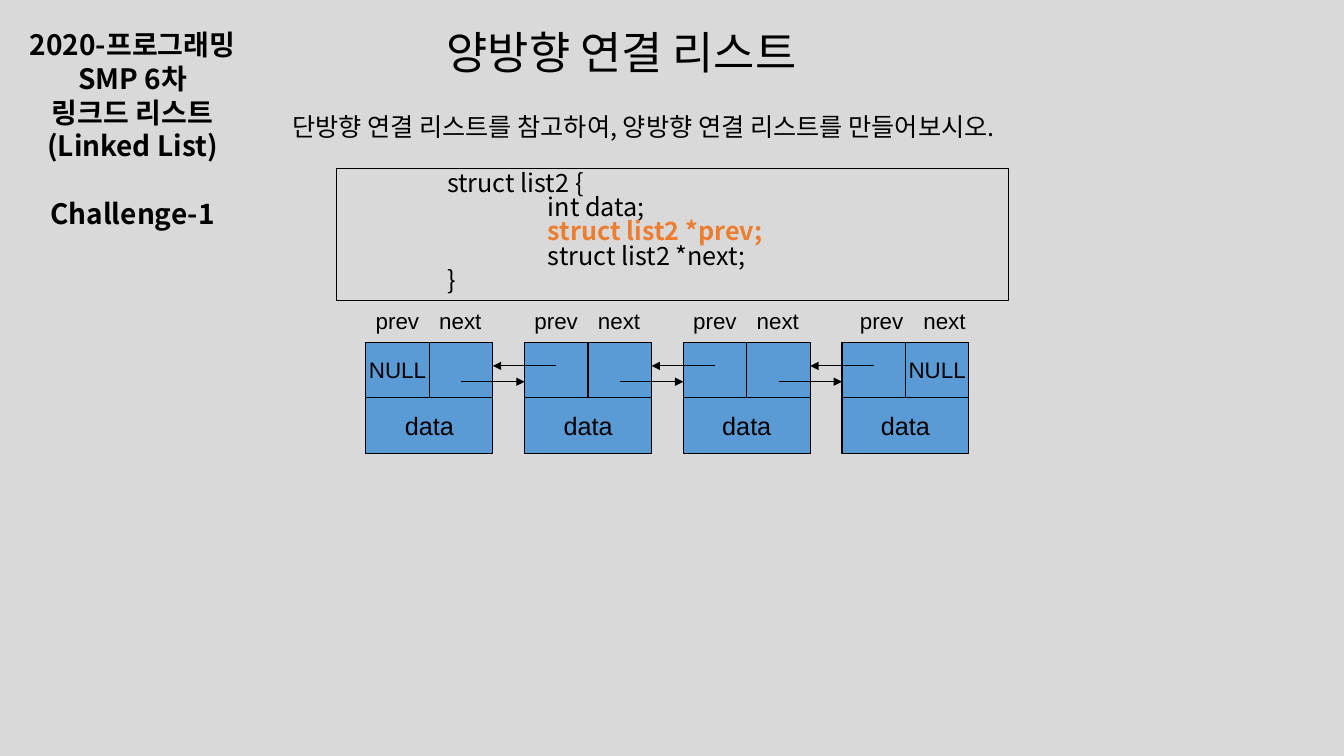
from dataclasses import dataclass

from lxml import etree
from pptx import Presentation
from pptx.dml.color import RGBColor
from pptx.enum.shapes import MSO_CONNECTOR, MSO_SHAPE
from pptx.enum.text import MSO_ANCHOR, PP_ALIGN
from pptx.oxml.ns import qn
from pptx.util import Cm, Pt

LEFT, CENTER = PP_ALIGN.LEFT, PP_ALIGN.CENTER
TOP, MIDDLE = MSO_ANCHOR.TOP, MSO_ANCHOR.MIDDLE
RECTANGLE, STRAIGHT = MSO_SHAPE.RECTANGLE, MSO_CONNECTOR.STRAIGHT
TITLE_ONLY = 5


@dataclass(frozen=True)
class Theme:
    """Colours, fonts and type sizes of the slide."""
    background: RGBColor = RGBColor(0xD9, 0xD9, 0xD9)
    ink: RGBColor = RGBColor(0, 0, 0)
    node: RGBColor = RGBColor(0x5B, 0x9B, 0xD5)
    accent: RGBColor = RGBColor(0xED, 0x7D, 0x31)
    korean: str = "Noto Sans CJK KR"
    diagram: str = "Arial"
    title: int = 32
    heading: int = 20
    body: int = 18
    field: int = 16
    line: float = 0.75


THEME = Theme()


@dataclass(frozen=True)
class Box:
    """A rectangle measured in centimetres."""
    left: float
    top: float
    width: float
    height: float

    def lengths(self) -> tuple:
        """Return the four measures as lengths."""
        return Cm(self.left), Cm(self.top), Cm(self.width), Cm(self.height)


@dataclass(frozen=True)
class Line:
    """A line of text with its own look."""
    text: str
    size: int = THEME.body
    font: str = THEME.korean
    color: RGBColor = THEME.ink
    bold: bool = False
    align: PP_ALIGN = LEFT
    indent: float = 0
    spacing: float = 1
    before: float = 0


@dataclass(frozen=True)
class Node:
    """A list node: its left edge, label shift and pointer texts."""
    left: float
    label_shift: float = 0
    prev: str = ""
    next: str = ""


def write(frame, lines: list[Line], anchor=TOP, wrap: bool = True) -> None:
    """Fill a text frame, one paragraph and run per line."""
    frame.word_wrap = wrap
    frame.vertical_anchor = anchor
    for index, line in enumerate(lines):
        paragraph = frame.add_paragraph() if index else frame.paragraphs[0]
        paragraph.alignment = line.align
        paragraph.line_spacing = line.spacing
        paragraph.space_before = Pt(line.before)
        if line.indent:
            paragraph._p.get_or_add_pPr().set("marL", str(Cm(line.indent)))
        run = paragraph.add_run()
        run.text = line.text
        run.font.size = Pt(line.size)
        run.font.bold = line.bold
        run.font.name = line.font
        run.font.color.rgb = line.color
        east_asian = etree.SubElement(run._r.get_or_add_rPr(), qn("a:ea"))
        east_asian.set("typeface", line.font)


def add_text(slide, box: Box, lines: list[Line], wrap: bool = True) -> None:
    """Add a text box."""
    write(slide.shapes.add_textbox(*box.lengths()).text_frame, lines, wrap=wrap)


def add_rectangle(slide, box: Box, fill: RGBColor | None = None):
    """Add an outlined rectangle and return it."""
    rectangle = slide.shapes.add_shape(RECTANGLE, *box.lengths())
    rectangle.shadow.inherit = False
    if fill is None:
        rectangle.fill.background()
    else:
        rectangle.fill.solid()
        rectangle.fill.fore_color.rgb = fill
    rectangle.line.color.rgb = THEME.ink
    rectangle.line.width = Pt(THEME.line)
    return rectangle


def add_cell(slide, box: Box, text: str, size: int) -> None:
    """Add one cell of a node, with its text if it has any."""
    cell = add_rectangle(slide, box, THEME.node)
    if text:
        label = Line(text, size, THEME.diagram, align=CENTER)
        write(cell.text_frame, [label], MIDDLE, wrap=False)


def add_arrow(slide, start: float, end: float, height: float) -> None:
    """Add a level arrow between two horizontal places."""
    arrow = slide.shapes.add_connector(
        STRAIGHT, Cm(start), Cm(height), Cm(end), Cm(height))
    arrow.line.color.rgb = THEME.ink
    arrow.line.width = Pt(THEME.line)
    head = etree.SubElement(arrow.line._get_or_add_ln(), qn("a:tailEnd"))
    head.set("type", "triangle")
    etree.SubElement(arrow._element.spPr, qn("a:effectLst"))


NODE_LEFT, NODE_TOP, PITCH = 9.22, 8.62, 4.0
HALF, ROW, LABEL_TOP = 1.6, 1.4, 7.62
PREV_ARROW, NEXT_ARROW = 9.22, 9.62


def add_node(slide, node: Node) -> None:
    """Draw a node with two pointer cells, a data cell and labels."""
    pointers = (("prev", node.prev), ("next", node.next))
    for column, (name, value) in enumerate(pointers):
        left = node.left + column * HALF
        add_cell(slide, Box(left, NODE_TOP, HALF, ROW), value, THEME.field)
        label = Line(name, THEME.field, THEME.diagram)
        add_text(slide, Box(left + node.label_shift, LABEL_TOP, 1.65, 0.94),
                 [label], wrap=False)
    add_cell(slide, Box(node.left, NODE_TOP + ROW, 2 * HALF, ROW),
             "data", THEME.body)


def main() -> None:
    """Build the slide and save it."""
    deck = Presentation()
    deck.slide_width, deck.slide_height = Cm(33.87), Cm(19.05)
    slide = deck.slides.add_slide(deck.slide_layouts[TITLE_ONLY])
    slide.background.fill.solid()
    slide.background.fill.fore_color.rgb = THEME.background

    title = slide.shapes.title
    title.left, title.top, title.width, title.height = Box(
        11, 0.33, 22.86, 2.13).lengths()
    write(title.text_frame,
          [Line("양방향 연결 리스트", THEME.title, spacing=0.9)], MIDDLE)

    course = ["2020-프로그래밍", "SMP 6차", "링크드 리스트", "(Linked List)"]
    heading = [Line(text, THEME.heading, bold=True, align=CENTER)
               for text in course]
    heading.append(Line("Challenge-1", THEME.heading, bold=True,
                        align=CENTER, before=24))
    add_text(slide, Box(0, 0.58, 6.68, 5.38), heading)

    task = "단방향 연결 리스트를 참고하여, 양방향 연결 리스트를 만들어보시오."
    add_text(slide, Box(7.11, 2.69, 20.19, 1.02), [Line(task)], wrap=False)

    outer, inner, tight = 2.54, 5.08, 0.8
    struct = [
        Line("struct list2 {", indent=outer, spacing=tight),
        Line("int data;", indent=inner, spacing=tight),
        Line("struct list2 *prev;", color=THEME.accent, bold=True,
             indent=inner, spacing=tight),
        Line("struct list2 *next;", indent=inner, spacing=tight),
        Line("}", indent=outer, spacing=tight),
    ]
    code = add_rectangle(slide, Box(8.48, 4.24, 16.94, 3.33))
    write(code.text_frame, struct)

    first, second, third, last = (NODE_LEFT + i * PITCH for i in range(4))
    nodes = [Node(first, prev="NULL"), Node(second), Node(third),
             Node(last, label_shift=0.2, next="NULL")]
    for node in nodes:
        add_node(slide, node)
    for node, following in zip(nodes, nodes[1:]):
        add_arrow(slide, node.left + 1.5 * HALF, following.left, NEXT_ARROW)
        add_arrow(slide, following.left + HALF / 2,
                  node.left + 2 * HALF, PREV_ARROW)

    deck.save("out.pptx")


main()
